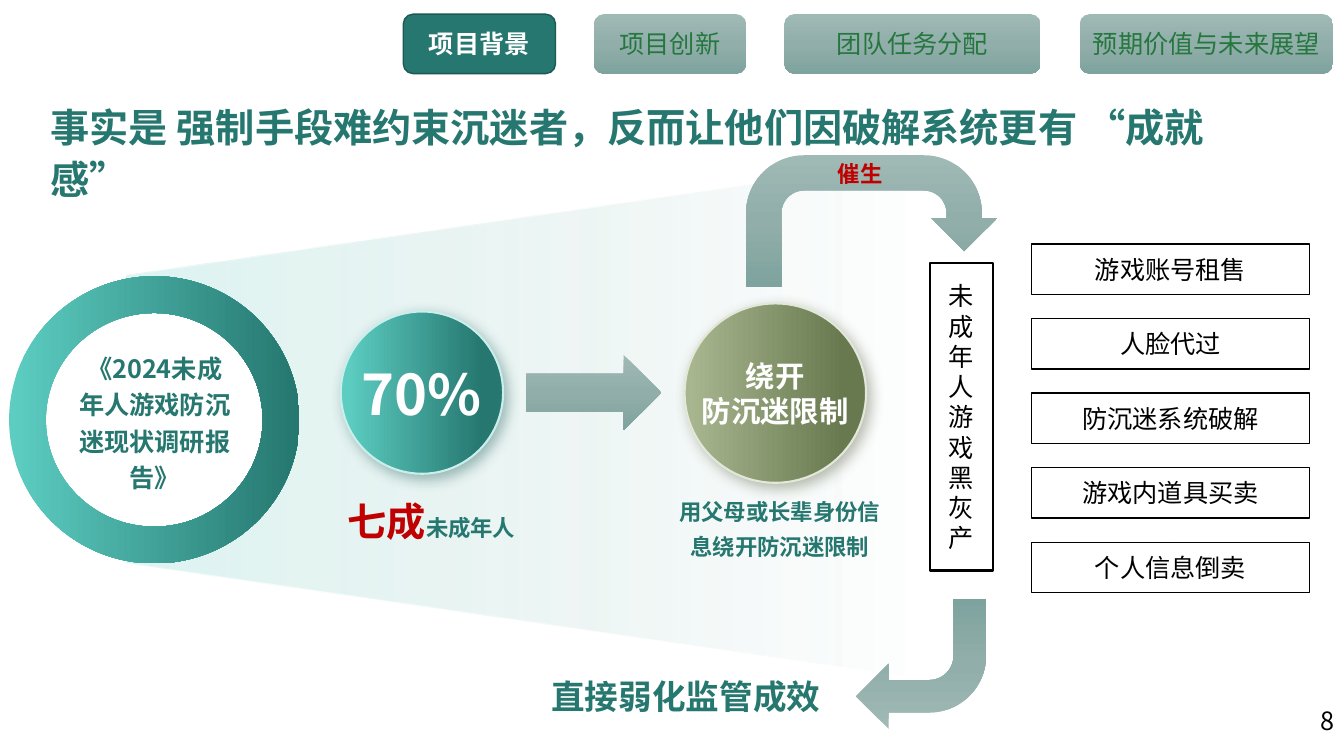
from lxml import etree
from pptx import Presentation
from pptx.dml.color import RGBColor
from pptx.enum.shapes import MSO_SHAPE
from pptx.enum.text import MSO_ANCHOR, MSO_AUTO_SIZE, PP_ALIGN
from pptx.oxml.ns import qn
from pptx.util import Inches, Pt

FONT = "Noto Sans CJK SC"
TEAL = RGBColor(0x25, 0x77, 0x6F)
DARK_TEAL = RGBColor(0x1C, 0x59, 0x53)
GREEN = RGBColor(0x25, 0x77, 0x3F)
AQUA = RGBColor(0x5D, 0xCD, 0xC2)
PALE_AQUA = RGBColor(0xC9, 0xEE, 0xEB)
OLIVE = RGBColor(0x69, 0x79, 0x4F)
LIGHT_OLIVE = RGBColor(0xA7, 0xB6, 0x8E)
PALE_OLIVE = RGBColor(0xE2, 0xE7, 0xD9)
DARK_OLIVE = RGBColor(0x4F, 0x5B, 0x3B)
RED = RGBColor(0xC0, 0x00, 0x00)
WHITE = RGBColor(0xFF, 0xFF, 0xFF)
BLACK = RGBColor(0x00, 0x00, 0x00)
SAGE = [(0, RGBColor(0x9F, 0xB9, 0xB5), 100), (50, RGBColor(0x92, 0xAE, 0xAA), 100),
        (100, RGBColor(0x7E, 0xA3, 0x9E), 100)]
LEFT, CENTER, RIGHT = PP_ALIGN.LEFT, PP_ALIGN.CENTER, PP_ALIGN.RIGHT

prs = Presentation()
prs.slide_width, prs.slide_height = Inches(13.33), Inches(7.5)
slide = prs.slides.add_slide(prs.slide_layouts[5])
shapes = slide.shapes


def paint(sp, fill=None, angle=0, line=None, width=1):
    """Fill with a colour, a list of (position, colour, opacity) stops, or nothing."""
    sp.shadow.inherit = False
    if isinstance(fill, RGBColor):
        sp.fill.solid()
        sp.fill.fore_color.rgb = fill
    else:
        sp.fill.background()
    if isinstance(fill, list):
        grad = etree.Element(qn("a:gradFill"), rotWithShape="1")
        stops = etree.SubElement(grad, qn("a:gsLst"))
        for pos, color, opacity in fill:
            gs = etree.SubElement(stops, qn("a:gs"), pos=str(pos * 1000))
            clr = etree.SubElement(gs, qn("a:srgbClr"), val=str(color))
            if opacity < 100:
                etree.SubElement(clr, qn("a:alpha"), val=str(opacity * 1000))
        etree.SubElement(grad, qn("a:lin"), ang=str(angle * 60000), scaled="0")
        spPr = sp._element.spPr
        spPr.replace(spPr.find(qn("a:noFill")), grad)
    if line is None:
        sp.line.fill.background()
    else:
        sp.line.color.rgb = line
        sp.line.width = Pt(width)


def write(sp, lines, size, color, bold=True, align=CENTER, spacing=1.0,
          anchor=MSO_ANCHOR.MIDDLE, margins=(0.1, 0.05), wrap=True):
    """Set one paragraph per line; a line is a list of (text, size, colour) or a string."""
    tf = sp.text_frame
    tf.word_wrap, tf.vertical_anchor = wrap, anchor
    tf.auto_size = MSO_AUTO_SIZE.NONE
    tf.margin_left = tf.margin_right = Inches(margins[0])
    tf.margin_top = tf.margin_bottom = Inches(margins[1])
    for i, line in enumerate(lines):
        p = tf.paragraphs[0] if i == 0 else tf.add_paragraph()
        p.alignment, p.line_spacing = align, spacing
        p.font.name, p.font.bold = FONT, bold
        p.font.size, p.font.color.rgb = Pt(size), color
        font = p._p.pPr.find(qn("a:defRPr"))
        font.find(qn("a:latin")).addnext(etree.Element(qn("a:ea"), typeface=FONT))
        if isinstance(line, str):
            p.add_run().text = line
        else:
            for text, run_size, run_color in line:
                r = p.add_run()
                r.text = text
                r.font.size, r.font.color.rgb = Pt(run_size), run_color


# Title
title = shapes.title
title.left, title.top, title.width, title.height = map(Inches, (0.4, 0.92, 12.2, 0.62))
write(title, ["事实是 强制手段难约束沉迷者，反而让他们因破解系统更有 “成就感”"], 28, TEAL,
      align=LEFT, spacing=1.11, anchor=MSO_ANCHOR.TOP)

# Widening beam behind the flow
fb = shapes.build_freeform(Inches(11.64), Inches(1.23))
fb.add_line_segments([(Inches(x), Inches(y)) for x, y in
                      ((11.64, 7.1), (1.25, 5.59), (1.25, 2.74))], close=True)
paint(fb.convert_to_shape(), [(0, AQUA, 20), (75, TEAL, 0)])

# Navigation tabs, the first one active
tabs = [(4, 1.51, "项目背景"), (5.89, 1.51, "项目创新"),
        (7.78, 2.54, "团队任务分配"), (10.71, 2.51, "预期价值与未来展望")]
for i, (x, w, text) in enumerate(tabs):
    sp = shapes.add_shape(MSO_SHAPE.ROUNDED_RECTANGLE,
                          Inches(x), Inches(0.14), Inches(w), Inches(0.59))
    active = i == 0
    if active:
        paint(sp, TEAL, line=DARK_TEAL)
    else:
        paint(sp, SAGE, 90)
    write(sp, [text], 18, WHITE if active else GREEN, bold=active)

# Grey market and its five trades
boxes = [(9.22, 2.61, 0.63, 3.05, 1.5, "未成年人游戏黑灰产")]
trades = ["游戏账号租售", "人脸代过", "防沉迷系统破解", "游戏内道具买卖", "个人信息倒卖"]
boxes += [(10.23, 2.42 + 0.74 * i, 2.76, 0.5, 1, text) for i, text in enumerate(trades)]
for x, y, w, h, width, text in boxes:
    sp = shapes.add_shape(MSO_SHAPE.RECTANGLE, Inches(x), Inches(y), Inches(w), Inches(h))
    paint(sp, line=BLACK, width=width)
    write(sp, [text], 18, BLACK, bold=False)

# Report inside its ring
report = shapes.add_shape(MSO_SHAPE.OVAL, Inches(0.28), Inches(2.91), Inches(2.51), Inches(2.51))
paint(report, WHITE)
write(report, ["《2024未成年人游戏防沉迷现状调研报告》"], 18, TEAL, spacing=1.2)
ring = shapes.add_shape(MSO_SHAPE.DONUT, Inches(0.09), Inches(2.74), Inches(2.88), Inches(2.85))
ring.adjustments[0] = 0.128
paint(ring, [(0, AQUA, 100), (100, TEAL, 100)])

# Glossy circles
circles = [
    (3.38, 3.09, 1.61, 1.61, AQUA, TEAL, PALE_AQUA, DARK_TEAL, ["70%"], 40),
    (6.79, 3.01, 1.8, 1.78, LIGHT_OLIVE, OLIVE, PALE_OLIVE, DARK_OLIVE,
     ["绕开", "防沉迷限制"], 21),
]
for x, y, w, h, start, end, edge, shade, lines, size in circles:
    sp = shapes.add_shape(MSO_SHAPE.OVAL, Inches(x), Inches(y), Inches(w), Inches(h))
    paint(sp, [(3, start, 100), (88, end, 100)], line=edge, width=1.5)
    effects = sp._element.spPr.find(qn("a:effectLst"))
    shadow = etree.SubElement(effects, qn("a:outerShdw"), blurRad=str(Pt(10)),
                              dist=str(Pt(4)), dir=str(50 * 60000), rotWithShape="0")
    clr = etree.SubElement(shadow, qn("a:srgbClr"), val=str(shade))
    etree.SubElement(clr, qn("a:alpha"), val="40000")
    write(sp, lines, size, WHITE, margins=(0.16, 0), wrap=False)

# Arrows
arrows = [
    (MSO_SHAPE.RIGHT_ARROW, 5.22, 3.52, 1.34, 0.75, 0, []),
    (MSO_SHAPE.U_TURN_ARROW, 7.4, 1.54, 2.49, 1.31, 0, [0.267, 0.25, 0.25, 0.438, 0.726]),
    (MSO_SHAPE.BENT_ARROW, 8.49, 5.94, 1.29, 1.29, 180, []),
]
for kind, x, y, w, h, rotation, adjustments in arrows:
    sp = shapes.add_shape(kind, Inches(x), Inches(y), Inches(w), Inches(h))
    sp.rotation = rotation
    for i, value in enumerate(adjustments):
        sp.adjustments[i] = value
    paint(sp, SAGE, 90)

# Captions and page number
captions = [
    (2.97, 4.79, 2.62, 0.66, [[("七成", 28, RED), ("未成年人", 16, TEAL)]],
     16, TEAL, True, CENTER, 1.3, (0, 0)),
    (6.73, 4.86, 2.01, 1.01, ["用父母或长辈身份信息绕开防沉迷限制"],
     16, TEAL, True, CENTER, 1.3, (0, 0)),
    (8.21, 1.54, 0.78, 0.37, ["催生"], 16, RED, True, LEFT, 1.0, (0.1, 0.05)),
    (5.37, 6.66, 3.01, 0.5, ["直接弱化监管成效"], 24, TEAL, True, LEFT, 1.0, (0.1, 0.05)),
    (10.33, 6.95, 3, 0.4, ["8"], 18, BLACK, False, RIGHT, 1.0, (0.1, 0.05)),
]
for x, y, w, h, lines, size, color, bold, align, spacing, margins in captions:
    sp = shapes.add_textbox(Inches(x), Inches(y), Inches(w), Inches(h))
    write(sp, lines, size, color, bold, align, spacing, MSO_ANCHOR.TOP, margins)

prs.save("out.pptx")
